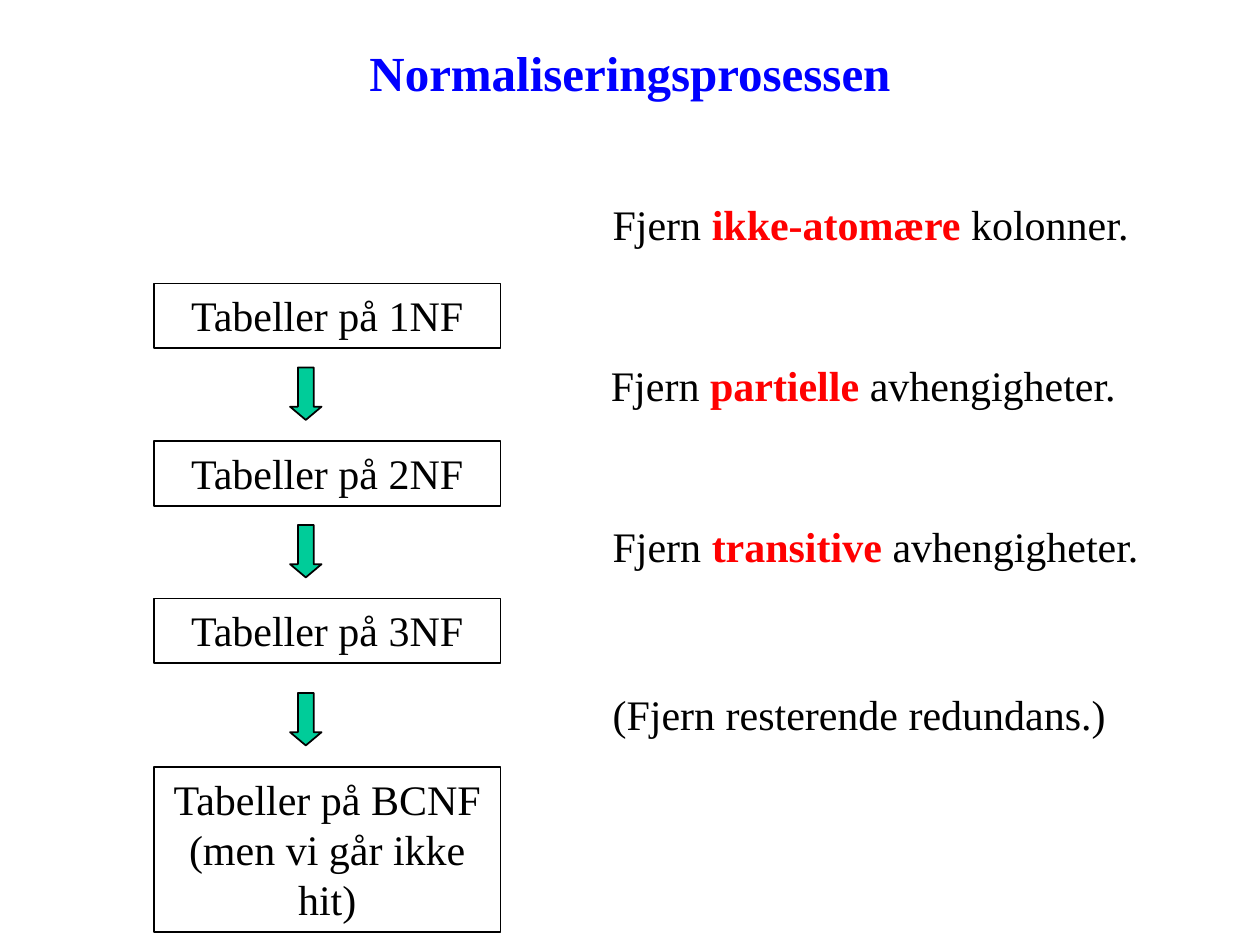
"""Build the slide on the steps of the normalisation process."""
from pptx import Presentation
from pptx.dml.color import RGBColor
from pptx.enum.shapes import MSO_SHAPE as SHAPE
from pptx.enum.text import MSO_ANCHOR as ANCHOR, PP_ALIGN as ALIGN
from pptx.util import Pt

COLORS = {"title": "0000FF", "text": "000000", "key": "FF0000",
          "arrow": "00CC99", "line": "000000"}


def rgb(name):
    return RGBColor.from_string(COLORS[name])


def write(sp, text, size=24, color="text", bold=False, align=ALIGN.LEFT,
          anchor=ANCHOR.TOP):
    """Write text in a shape; parts between asterisks are emphasised."""
    tf = sp.text_frame
    tf.word_wrap = True
    tf.vertical_anchor = anchor
    p = tf.paragraphs[0]
    p.alignment = align
    for i, part in enumerate(text.split("*")):
        key = i % 2 == 1
        r = p.add_run()
        r.text = part
        r.font.name = "Times New Roman"
        r.font.size = Pt(size)
        r.font.bold = bold or key
        r.font.color.rgb = rgb("key" if key else color)


prs = Presentation()
prs.slide_width, prs.slide_height = Pt(720), Pt(540)
s = prs.slides.add_slide(prs.slide_layouts[6])

title = s.shapes.add_textbox(Pt(54), Pt(15), Pt(612), Pt(52.5))
write(title, "Normaliseringsprosessen", size=28, color="title", bold=True,
      align=ALIGN.CENTER, anchor=ANCHOR.MIDDLE)

boxes = [("Tabeller på 1NF", 162, 37), ("Tabeller på 2NF", 252, 37),
         ("Tabeller på 3NF", 342, 37),
         ("Tabeller på BCNF (men vi går ikke hit)", 438.25, 94.5)]
for text, top, height in boxes:
    sp = s.shapes.add_shape(SHAPE.RECTANGLE, Pt(88), Pt(top), Pt(198), Pt(height))
    sp.shadow.inherit = False
    sp.fill.background()
    sp.line.color.rgb = rgb("line")
    sp.line.width = Pt(1)
    write(sp, text, align=ALIGN.CENTER)

for top in (210, 300, 396):
    sp = s.shapes.add_shape(SHAPE.DOWN_ARROW, Pt(165.75), Pt(top), Pt(18), Pt(30))
    sp.adjustments[0], sp.adjustments[1] = 0.5, 0.42
    sp.shadow.inherit = False
    sp.fill.solid()
    sp.fill.fore_color.rgb = rgb("arrow")
    sp.line.color.rgb = rgb("line")
    sp.line.width = Pt(1)

steps = [("Fjern *ikke-atomære* kolonner.", 343, 110, 340.5),
         ("Fjern *partielle* avhengigheter.", 342, 202, 306),
         ("Fjern *transitive* avhengigheter.", 343, 294, 329),
         ("(Fjern resterende redundans.)", 343, 390, 298)]
for text, left, top, width in steps:
    write(s.shapes.add_textbox(Pt(left), Pt(top), Pt(width), Pt(36)), text)

prs.save("out.pptx")
